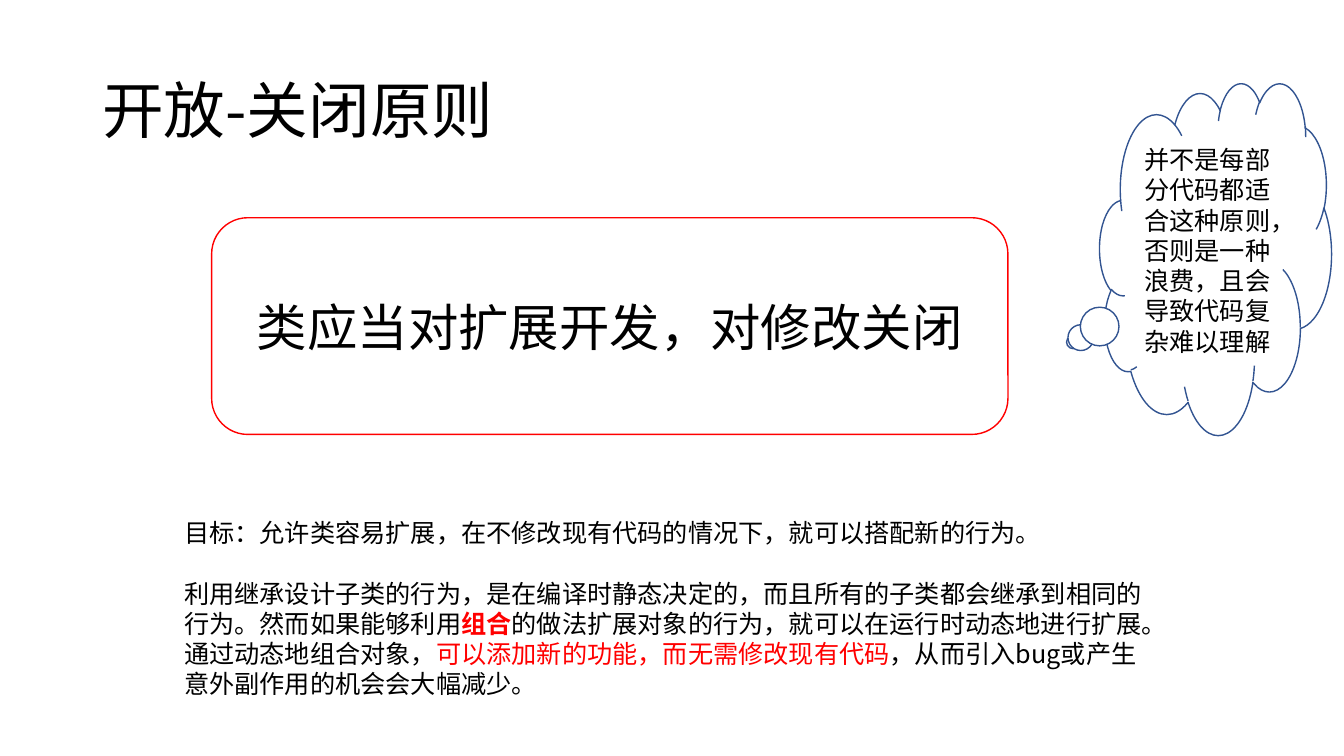
from pptx import Presentation
from pptx.dml.color import RGBColor
from pptx.enum.lang import MSO_LANGUAGE_ID
from pptx.enum.shapes import MSO_SHAPE
from pptx.enum.text import MSO_ANCHOR, PP_ALIGN
from pptx.oxml.ns import qn
from pptx.util import Pt

BLACK = RGBColor(0x00, 0x00, 0x00)
RED = RGBColor(0xFF, 0x00, 0x00)
WHITE = RGBColor(0xFF, 0xFF, 0xFF)
BLUE = RGBColor(0x32, 0x54, 0x91)
FONT = "Noto Sans CJK SC"


def add_run(paragraph, text, size, color=BLACK, bold=False):
    """Append a run in the slide's font for Latin and Chinese characters."""
    run = paragraph.add_run()
    run.text = text
    formats = {"name": FONT, "size": Pt(size), "bold": bold,
               "language_id": MSO_LANGUAGE_ID.SIMPLIFIED_CHINESE}
    for attribute, value in formats.items():
        setattr(run.font, attribute, value)
    run.font.color.rgb = color
    east_asian = run.font._element.makeelement(qn("a:ea"), {"typeface": FONT})
    run.font._element.find(qn("a:latin")).addnext(east_asian)


def add_title(slide, box, text):
    """Place the slide title, vertically centred in its box."""
    frame = slide.shapes.add_textbox(*map(Pt, box)).text_frame
    frame.word_wrap = True
    frame.vertical_anchor = MSO_ANCHOR.MIDDLE
    frame.paragraphs[0].line_spacing = 0.9
    add_run(frame.paragraphs[0], text, 44)


def add_callout(slide, box, preset, text, size, outline, fill=None):
    """Place an outlined shape with centred text."""
    callout = slide.shapes.add_shape(preset, *map(Pt, box))
    callout.shadow.inherit = False
    if fill is None:
        callout.fill.background()
    else:
        callout.fill.solid()
        callout.fill.fore_color.rgb = fill
    callout.line.color.rgb = outline
    callout.line.width = Pt(1)
    frame = callout.text_frame
    frame.word_wrap = True
    frame.vertical_anchor = MSO_ANCHOR.MIDDLE
    frame.paragraphs[0].alignment = PP_ALIGN.CENTER
    add_run(frame.paragraphs[0], text, size)
    return callout


def add_explanation(slide, box, goal, reasoning):
    """Place the goal and, after a gap, the reasoning with its highlights."""
    frame = slide.shapes.add_textbox(*map(Pt, box)).text_frame
    frame.word_wrap = True
    frame.paragraphs[0].space_after = Pt(22)
    add_run(frame.paragraphs[0], goal, 18)
    reasoning_paragraph = frame.add_paragraph()
    for text, color, bold in reasoning:
        add_run(reasoning_paragraph, text, 18, color, bold)


def main():
    """Build the slide on the open-closed principle."""
    deck = Presentation()
    deck.slide_width, deck.slide_height = Pt(960), Pt(540)
    slide = deck.slides.add_slide(deck.slide_layouts[6])

    add_title(slide, (66, 28.75, 828, 104.4), "开放-关闭原则")
    add_callout(slide, (151.2, 155.5, 568.8, 154.8),
                MSO_SHAPE.FLOWCHART_ALTERNATE_PROCESS,
                "类应当对扩展开发，对修改关闭", 36, RED)
    add_explanation(
        slide, (124.5, 365.75, 710.6, 138.2),
        "目标：允许类容易扩展，在不修改现有代码的情况下，就可以搭配新的行为。",
        [("利用继承设计子类的行为，是在编译时静态决定的，而且所有的子类都会继承到相同的行为。"
          "然而如果能够利用", BLACK, False),
         ("组合", RED, True),
         ("的做法扩展对象的行为，就可以在运行时动态地进行扩展。通过动态地组合对象，",
          BLACK, False),
         ("可以添加新的功能，而无需修改现有代码", RED, False),
         ("，从而引入bug或产生意外副作用的机会会大幅减少。", BLACK, False)])
    caveat = add_callout(
        slide, (785.5, 59, 165.6, 251.3), MSO_SHAPE.CLOUD_CALLOUT,
        "并不是每部分代码都适合这种原则，否则是一种浪费，且会导致代码复杂难以理解",
        18, BLUE, WHITE)
    caveat.adjustments[0] = -0.615
    caveat.adjustments[1] = 0.238

    deck.save("out.pptx")


if __name__ == "__main__":
    main()
